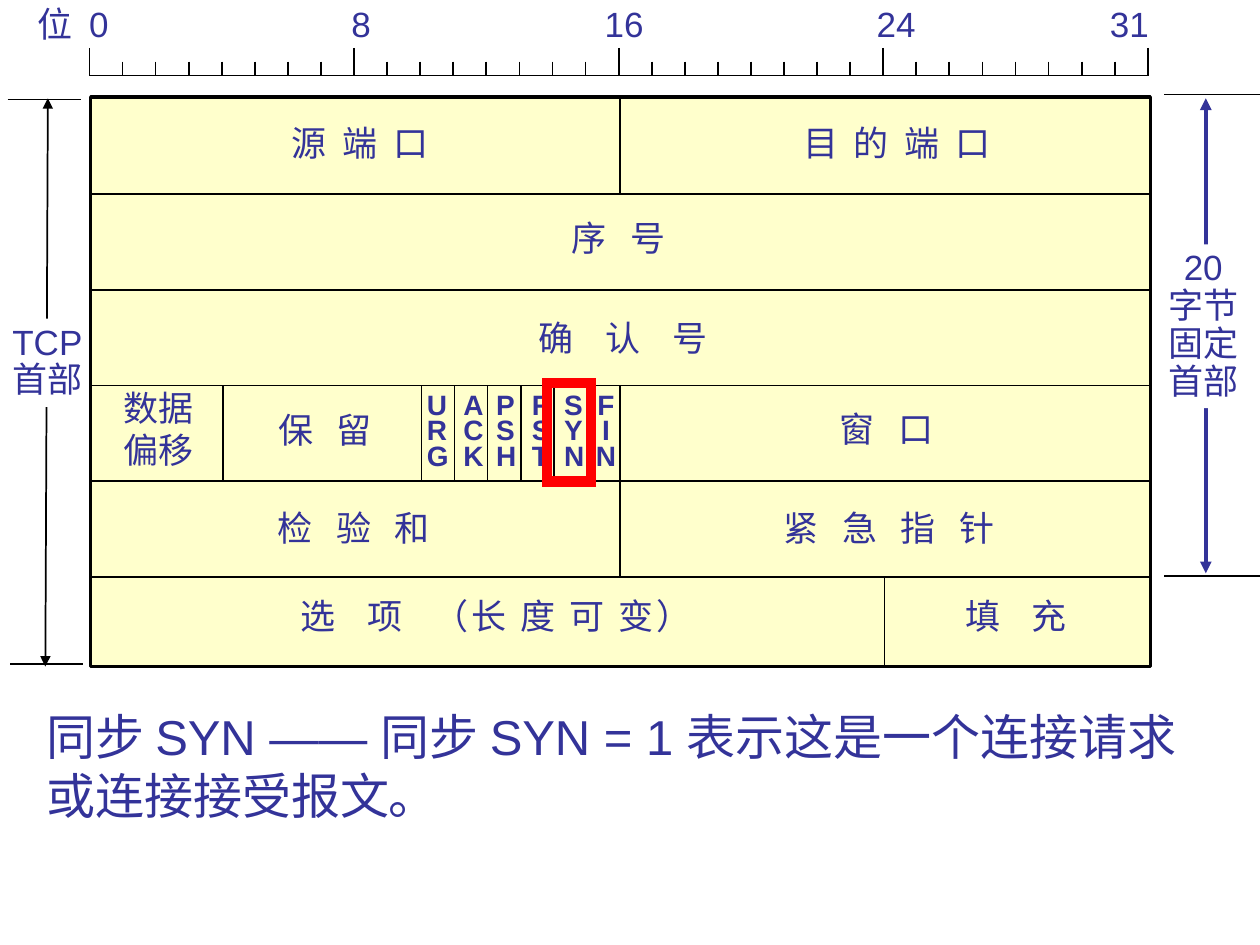
import pptx
import pptx.dml.color
import pptx.enum.shapes
import pptx.enum.text
import pptx.oxml.ns
import pptx.util
from lxml import etree

INK = pptx.dml.color.RGBColor(0x33, 0x33, 0x99)
BLACK = pptx.dml.color.RGBColor(0, 0, 0)
WHITE = pptx.dml.color.RGBColor(0xFF, 0xFF, 0xFF)
CREAM = pptx.dml.color.RGBColor(0xFF, 0xFF, 0xCC)
RED = pptx.dml.color.RGBColor(0xFF, 0, 0)
RECTANGLE = pptx.enum.shapes.MSO_SHAPE.RECTANGLE
LEFT, CENTER = pptx.enum.text.PP_ALIGN.LEFT, pptx.enum.text.PP_ALIGN.CENTER
Inches, Pt, qn = pptx.util.Inches, pptx.util.Pt, pptx.oxml.ns.qn

deck = pptx.Presentation()
deck.slide_width, deck.slide_height = Inches(10), Inches(7.5)
slide = deck.slides.add_slide(deck.slide_layouts[6])

# Grid: one column per bit, one row per 32-bit word
BIT, WORD = 8.4 / 32, 0.76
columns = [0.71 + BIT * bit for bit in range(33)]
rows = [0.78 + WORD * word for word in range(6)] + [5.29]


def draw_line(x1, y1, x2, y2, color=BLACK, width=1, arrows=False):
    line = slide.shapes.add_connector(
        pptx.enum.shapes.MSO_CONNECTOR.STRAIGHT,
        Inches(x1), Inches(y1), Inches(x2), Inches(y2))
    line.line.color.rgb = color
    line.line.width = Pt(width)
    if arrows:
        for end in ("a:headEnd", "a:tailEnd"):
            etree.SubElement(line.line._get_or_add_ln(), qn(end), type="triangle")
    etree.SubElement(line._element.spPr, qn("a:effectLst"))


def write(x, y, width, height, lines, size=20, bold=False, align=LEFT,
          spacing=1.0, wrap=False, fill=None):
    """Each line is a list of (text, extra letter spacing in 1/100 pt)."""
    box = slide.shapes.add_textbox(Inches(x), Inches(y), Inches(width), Inches(height))
    box.text_frame.word_wrap = wrap
    if fill is not None:
        box.fill.solid()
        box.fill.fore_color.rgb = fill
    for number, pieces in enumerate(lines):
        frame = box.text_frame
        paragraph = frame.add_paragraph() if number else frame.paragraphs[0]
        paragraph.alignment = align
        paragraph.line_spacing = spacing
        for text, tracking in pieces:
            run = paragraph.add_run()
            run.text = text
            for key, value in {"name": "Arial", "size": Pt(size), "bold": bold}.items():
                setattr(run.font, key, value)
            run.font.color.rgb = INK
            if tracking:
                run.font._element.set("spc", str(tracking))
    return box


# Header extents on both sides
draw_line(0.38, rows[0], 0.36, rows[6], arrows=True)
write(0, 2.53, 0.76, 0.7, [[("TCP", 0)], [("首部", 0)]], spacing=0.9, fill=WHITE)
draw_line(9.57, rows[0], 9.57, 4.55, INK, 2.25, arrows=True)
write(9.17, 1.94, 0.76, 1.3, [[(text, 0)] for text in ("20", "字节", "固定", "首部")],
      align=CENTER, spacing=0.9, fill=WHITE)
for x1, x2, y in ((9.24, 10, 0.75), (9.24, 10, 4.57), (0.06, 0.64, 0.79), (0.08, 0.66, 5.27)):
    draw_line(x1, y, x2, y)

# Header body and its row rules
body = slide.shapes.add_shape(RECTANGLE, Inches(0.72), Inches(0.77), Inches(8.41), Inches(4.52))
body.shadow.inherit = False
body.fill.solid()
body.fill.fore_color.rgb = CREAM
body.line.color.rgb = BLACK
body.line.width = Pt(2)
for y in rows[1:6]:
    draw_line(columns[0], y, 9.13, y)

# Field borders: bit, first row, last row
for bit, top, bottom in ((16, 0, 1), (16, 3, 5), (24, 5, 6),
                         *((bit, 3, 4) for bit in (4, 10, 11, 12, 13, 14, 15))):
    draw_line(columns[bit] + 0.01, rows[top], columns[bit] + 0.01, rows[bottom])

# Field names: column, row, width, pieces; widths leave room for the letter spacing
NARROW, MEDIUM, BROAD = 228, 456, 684
fields = (
    (5.75, 0.18, 1.4, [("源 端 口", NARROW)]),
    (21.2, 0.18, 1.8, [("目 的 端 口", NARROW)]),
    (14.2, 1.17, 1.51, [("序 号", MEDIUM)]),
    (13.2, 2.21, 2.01, [("确 认 号", BROAD)]),
    (5.33, 3.18, 1.1, [("保 留", MEDIUM)]),
    (22.3, 3.16, 1.1, [("窗 口", MEDIUM)]),
    (5.3, 4.2, 1.55, [("检 验 和", MEDIUM)]),
    (20.6, 4.2, 2.05, [("紧 急 指 针", MEDIUM)]),
    (6, 5.12, 3.5, [("选 项 ", BROAD), ("（长 度 可 变）", 170)]),
    (26.1, 5.12, 1.37, [("填 充", BROAD)]),
)
for column, row, width, pieces in fields:
    write(columns[0] + BIT * column, rows[0] + WORD * row, width, 0.43, [pieces], wrap=True)
write(0.88, 3.02, 0.76, 0.76, [[("数据", 0)], [("偏移", 0)]])

# Control flags, one bit each
flags = {"URG": 9.83, "ACK": 10.93, "PSH": 11.92, "RST": 13, "SYN": 13.98, "FIN": 14.93}
for flag, column in flags.items():
    write(columns[0] + BIT * column, 3.09, 0.36, 0.7, [[(letter, 0)] for letter in flag],
          size=16, bold=True, align=CENTER if flag == "FIN" else LEFT, spacing=0.75)

# Bit ruler, with a long tick at every byte
draw_line(columns[0], 0.6, columns[32], 0.6)
for bit, x in enumerate(columns):
    draw_line(x, 0.49 if bit % 8 else 0.38, x, 0.6)
ruler = write(0.2, -0.03, 9.04, 0.43, [[("位\t0\t8\t16\t24\t31", 0)]], wrap=True)
stops = etree.SubElement(ruler.text_frame.paragraphs[0]._p.get_or_add_pPr(), qn("a:tabLst"))
for stop in (0.41, 2.49, 4.5, 6.66, 8.51):
    etree.SubElement(stops, qn("a:tab"), pos=str(Inches(stop)), algn="l")

# Explanation
write(0.27, 5.56, 9.21, 1.04,
      [[("同步 SYN —— 同步 SYN = 1 表示这是一个连接请求或连接接受报文。", 0)]],
      size=28, wrap=True)

# Highlight around SYN, with square corners
highlight = slide.shapes.add_shape(RECTANGLE, Inches(4.34), Inches(3.04), Inches(0.35), Inches(0.78))
highlight.shadow.inherit = False
highlight.fill.background()
highlight.line.color.rgb = RED
highlight.line.width = Pt(6)
etree.SubElement(highlight.line._get_or_add_ln(), qn("a:miter"), lim="800000")

deck.save("out.pptx")
